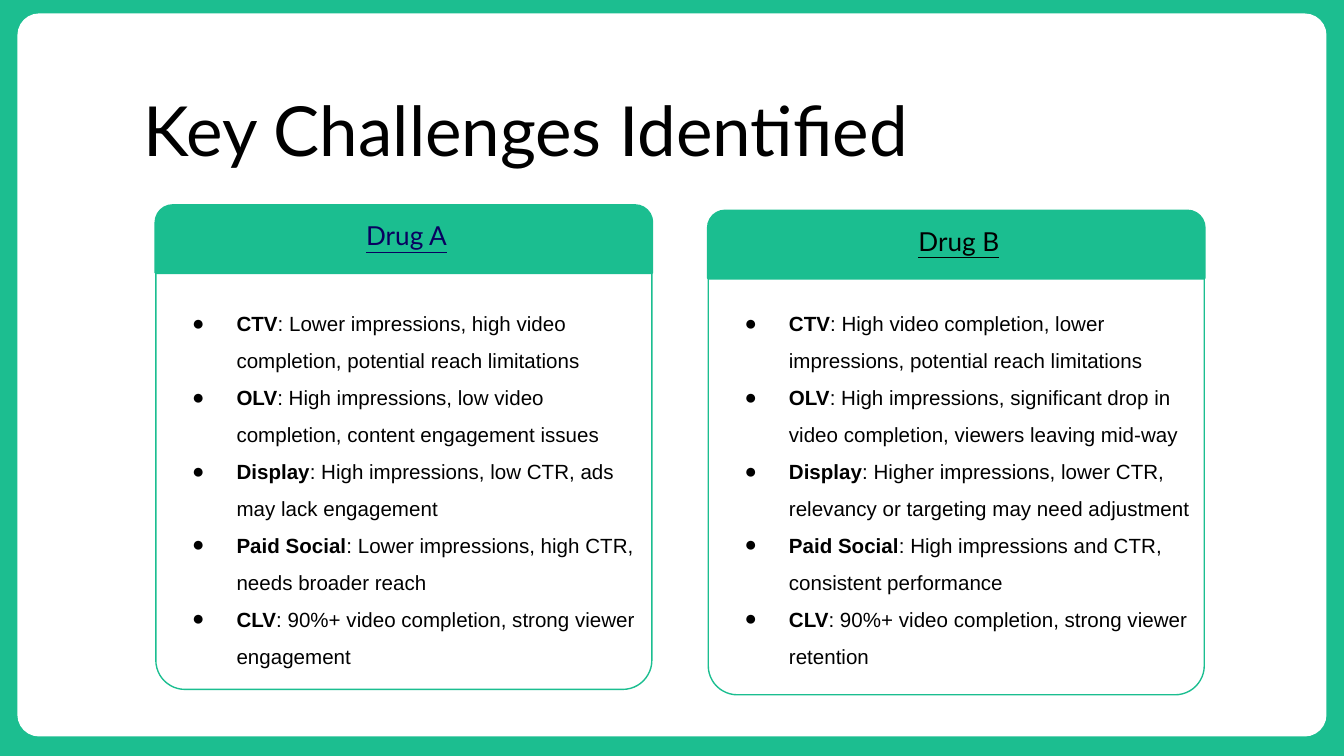
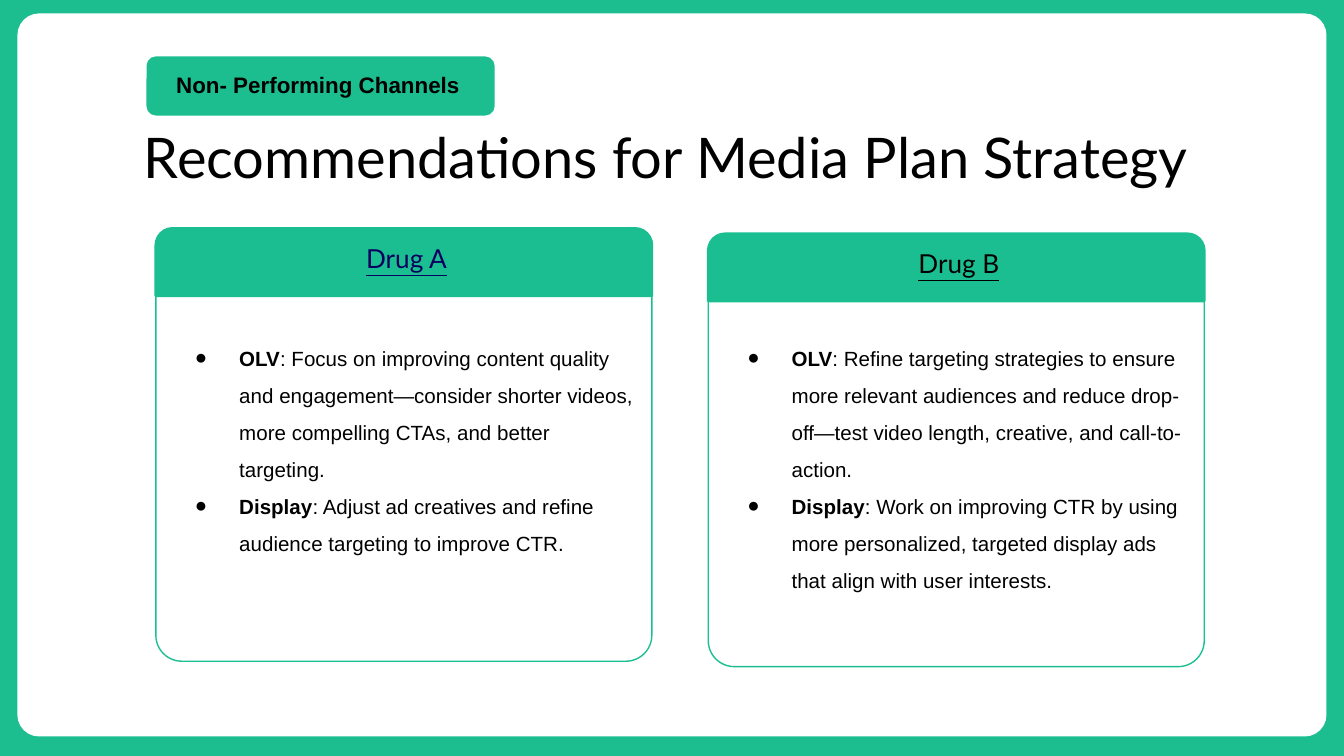
"""Build two slides that compare the media findings and advice for two drugs."""
from lxml import etree
from pptx import Presentation
from pptx.dml.color import RGBColor
from pptx.enum.shapes import MSO_SHAPE
from pptx.enum.text import MSO_ANCHOR, MSO_AUTO_SIZE, PP_ALIGN
from pptx.oxml.ns import qn
from pptx.util import Inches, Pt

ROUNDED, TOP_ROUNDED = MSO_SHAPE.ROUNDED_RECTANGLE, MSO_SHAPE.ROUND_2_SAME_RECTANGLE
TOP, MIDDLE = MSO_ANCHOR.TOP, MSO_ANCHOR.MIDDLE
LEFT, CENTER = PP_ALIGN.LEFT, PP_ALIGN.CENTER
NO_FIT = MSO_AUTO_SIZE.NONE

SLIDES = [
    {
        "title": "Key Challenges Identified", "title_size": 37, "title_top": 0.62,
        "card_top": 1.53, "card_height": 3.6, "list_top": 2.12, "list_shift": 0,
        "findings": [
            [("CTV", "Lower impressions, high video completion, potential reach limitations"),
             ("OLV", "High impressions, low video completion, content engagement issues"),
             ("Display", "High impressions, low CTR, ads may lack engagement"),
             ("Paid Social", "Lower impressions, high CTR, needs broader reach"),
             ("CLV", "90%+ video completion, strong viewer engagement")],
            [("CTV", "High video completion, lower impressions, potential reach limitations"),
             ("OLV", "High impressions, significant drop in video completion, "
                     "viewers leaving mid-way"),
             ("Display", "Higher impressions, lower CTR, relevancy or targeting "
                         "may need adjustment"),
             ("Paid Social", "High impressions and CTR, consistent performance"),
             ("CLV", "90%+ video completion, strong viewer retention")],
        ],
    },
    {
        "title": "Recommendations for Media Plan Strategy", "title_size": 30, "title_top": 0.87,
        "badge": "Non- Performing Channels",
        "card_top": 1.7, "card_height": 3.22, "list_top": 2.38, "list_shift": 0.02,
        "findings": [
            [("OLV", "Focus on improving content quality and engagement—consider shorter "
                     "videos, more compelling CTAs, and better targeting."),
             ("Display", "Adjust ad creatives and refine audience targeting to improve CTR.")],
            [("OLV", "Refine targeting strategies to ensure more relevant audiences and reduce "
                     "drop-off—test video length, creative, and call-to-action."),
             ("Display", "Work on improving CTR by using more personalized, targeted "
                         "display ads that align with user interests.")],
        ],
    },
]
DRUGS = [("Drug A", "08005F"), ("Drug B", "000000")]

WIDTH = 10
HEIGHT = WIDTH * 9 / 16
GREEN, BORDER, WHITE, BLACK = "1CBE90", "1BBE90", "FFFFFF", "000000"
CARD_LEFT, CARD_WIDTH, CARD_STEP, CARD_DROP = 1.16, 3.69, 4.11, 0.04
BAND_HEIGHT = 0.5
COMPARISON_LAYOUT = 4


def color(value):
    return RGBColor.from_string(value)


def set_all(target, values):
    for key, value in values.items():
        setattr(target, key, value)


def add_panel(slide, kind, box, adjust, fill, line=None, weight=0):
    panel = slide.shapes.add_shape(kind, *map(Inches, box))
    panel.shadow.inherit = False
    panel.adjustments[0] = adjust
    panel.fill.solid()
    panel.fill.fore_color.rgb = color(fill)
    if line:
        panel.line.color.rgb = color(line)
        panel.line.width = Pt(weight)
    else:
        panel.line.fill.background()
    return panel


def set_frame(shape, anchor, left=0.1):
    inset = Inches(0.1)
    set_all(shape.text_frame, {
        "word_wrap": True, "auto_size": NO_FIT, "vertical_anchor": anchor,
        "margin_left": Inches(left), "margin_right": inset,
        "margin_top": inset, "margin_bottom": inset})


def place(slide, index, box, anchor):
    holder = slide.placeholders[index]
    slide.shapes._spTree.append(holder._element)
    set_all(holder, dict(zip(("left", "top", "width", "height"), map(Inches, box))))
    set_frame(holder, anchor)
    return holder


def write(paragraph, text, size, font, ink=BLACK, bold=False, underline=False):
    run = paragraph.add_run()
    run.text = text
    set_all(run.font, {"size": Pt(size), "name": font, "bold": bold, "underline": underline})
    run.font.color.rgb = color(ink)


def align(paragraph, alignment, spacing):
    set_all(paragraph, {"alignment": alignment, "line_spacing": spacing,
                        "space_before": Pt(0), "space_after": Pt(0)})


def add_bullet(paragraph):
    props = paragraph._p.get_or_add_pPr()
    props.set("marL", str(Inches(0.5)))
    props.set("indent", str(Inches(-0.33)))
    ink = etree.SubElement(props, qn("a:buClr"))
    etree.SubElement(ink, qn("a:srgbClr")).set("val", BLACK)
    etree.SubElement(props, qn("a:buChar")).set("char", "●")


def add_card(slide, content, column):
    left = CARD_LEFT + column * CARD_STEP
    top = content["card_top"] + column * CARD_DROP
    add_panel(slide, ROUNDED, (left, top, CARD_WIDTH, content["card_height"]),
              0.06, WHITE, BORDER, 0.75)
    add_panel(slide, TOP_ROUNDED, (left, top, CARD_WIDTH, BAND_HEIGHT),
              0.25, BORDER, BORDER, 1.5)

    drug, ink = DRUGS[column]
    heading = place(slide, 1 + 2 * column, (left + 0.02, top - 0.04, CARD_WIDTH, 0.52), MIDDLE)
    name = heading.text_frame.paragraphs[0]
    align(name, CENTER, 1.0)
    write(name, drug, 14, "Lato", ink, underline=True)

    list_box = (left + content["list_shift"], content["list_top"], CARD_WIDTH, 2.33)
    frame = place(slide, 2 + 2 * column, list_box, TOP).text_frame
    for row, (channel, finding) in enumerate(content["findings"][column]):
        item = frame.add_paragraph() if row else frame.paragraphs[0]
        align(item, LEFT, 1.5)
        add_bullet(item)
        write(item, channel, 11, "Arial", bold=True)
        write(item, ": " + finding, 11, "Arial")


def add_badge(slide, text):
    badge = add_panel(slide, ROUNDED, (1.09, 0.42, 2.59, 0.44), 0.16, GREEN)
    set_frame(badge, MIDDLE, left=0.2)
    label = badge.text_frame.paragraphs[0]
    align(label, LEFT, 0.9)
    write(label, text, 12, "Arial", bold=True)


def add_frame_to_master(prs, slide):
    backdrop = prs.slide_master.background.fill
    backdrop.solid()
    backdrop.fore_color.rgb = color(GREEN)
    sheet = add_panel(slide, ROUNDED, (0.13, 0.1, WIDTH - 0.26, 5.38), 0.03, WHITE)
    prs.slide_master.shapes._spTree.insert(2, sheet._element)


def main():
    prs = Presentation()
    prs.slide_width, prs.slide_height = Inches(WIDTH), Inches(HEIGHT)
    for number, content in enumerate(SLIDES):
        slide = prs.slides.add_slide(prs.slide_layouts[COMPARISON_LAYOUT])
        if number == 0:
            add_frame_to_master(prs, slide)
        title = place(slide, 0, (0.97, content["title_top"], 8.6, 0.91), TOP)
        line = title.text_frame.paragraphs[0]
        align(line, LEFT, 0.9)
        write(line, content["title"], content["title_size"], "Lato")
        for column in range(len(DRUGS)):
            add_card(slide, content, column)
        if "badge" in content:
            add_badge(slide, content["badge"])
    prs.save("out.pptx")


if __name__ == "__main__":
    main()
